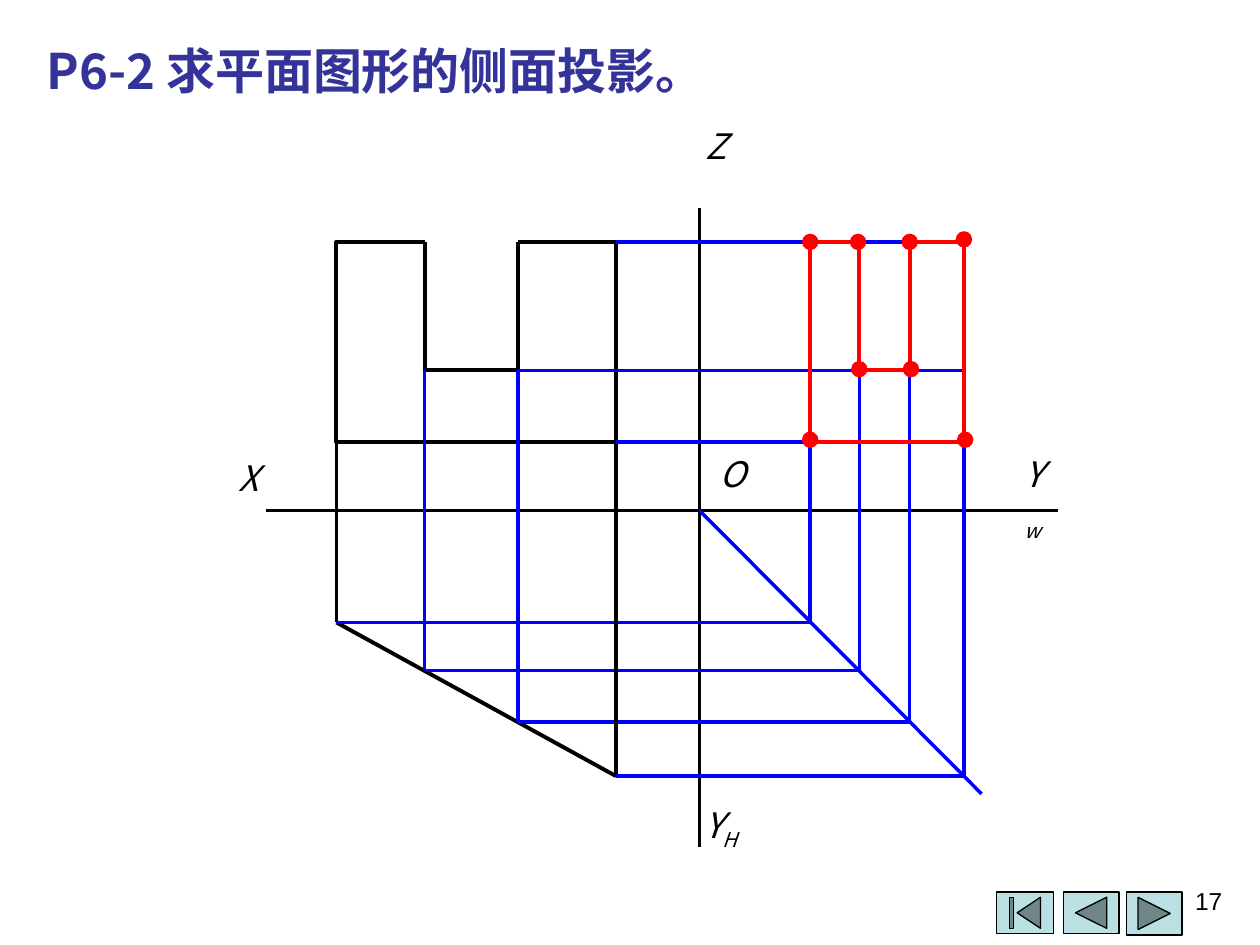
"""Build the projection exercise slide: a plane figure and its side view."""
from lxml import etree
from pptx import Presentation
from pptx.dml.color import RGBColor
from pptx.enum.shapes import MSO_CONNECTOR, MSO_SHAPE
from pptx.enum.text import MSO_ANCHOR, MSO_AUTO_SIZE, PP_ALIGN
from pptx.oxml.ns import qn
from pptx.util import Inches, Pt

STRAIGHT = MSO_CONNECTOR.STRAIGHT
DOT = MSO_SHAPE.OVAL
BUTTONS = (
    (MSO_SHAPE.ACTION_BUTTON_BEGINNING, 7.91, 0.45, 0.33),
    (MSO_SHAPE.ACTION_BUTTON_BACK_OR_PREVIOUS, 8.44, 0.44, 0.33),
    (MSO_SHAPE.ACTION_BUTTON_FORWARD_OR_NEXT, 8.94, 0.44, 0.34),
)
TOP, LEFT, RIGHT = MSO_ANCHOR.TOP, PP_ALIGN.LEFT, PP_ALIGN.RIGHT
NO_FIT = MSO_AUTO_SIZE.NONE

BLACK = RGBColor(0x00, 0x00, 0x00)
BLUE = RGBColor(0x00, 0x00, 0xFF)
RED = RGBColor(0xFF, 0x00, 0x00)
INDIGO = RGBColor(0x33, 0x33, 0x99)
TEAL = RGBColor(0xBB, 0xE0, 0xE3)

CJK = "Noto Sans CJK SC"
THIN, THICK = 0, 2.25
DOT_SIZE = 0.12
FRONT_X = (2.67, 3.37, 4.11, 4.89)
SIDE_X = (6.43, 6.82, 7.22, 7.65)
PLAN_Y = (4.94, 5.32, 5.73, 6.16)
ROOF, NOTCH, BASE = 1.92, 2.94, 3.51
ORIGIN = (5.55, 4.05)
CORNERS = (
    (6.43, 1.92), (6.81, 1.92), (7.22, 1.92), (7.65, 1.90),
    (6.82, 2.93), (7.23, 2.93), (6.43, 3.49), (7.66, 3.49),
)


def add_line(slide, start, end, color, width=THIN):
    """Draw one straight line between two points in inches."""
    points = [Inches(value) for value in (*start, *end)]
    line = slide.shapes.add_connector(STRAIGHT, *points)
    line.line.color.rgb = color
    line.line.width = Pt(width)
    etree.SubElement(line._element.spPr, qn("a:effectLst"))


def add_outline(slide, points):
    """Draw an open thick black outline through the points."""
    start, *rest = [(Inches(x), Inches(y)) for x, y in points]
    builder = slide.shapes.build_freeform(*start)
    builder.add_line_segments(rest, close=False)
    outline = builder.convert_to_shape()
    outline.shadow.inherit = False
    outline.fill.background()
    outline.line.color.rgb = BLACK
    outline.line.width = Pt(THICK)


def add_preset(slide, kind, box, fill, line, width):
    """Add a filled preset shape."""
    preset = slide.shapes.add_shape(kind, *[Inches(value) for value in box])
    preset.shadow.inherit = False
    preset.fill.solid()
    preset.fill.fore_color.rgb = fill
    preset.line.color.rgb = line
    preset.line.width = Pt(width)


def format_run(run, color, **values):
    """Apply font values, naming the East Asian face as well."""
    run.font.color.rgb = color
    for name, value in values.items():
        setattr(run.font, name, value)
    face = etree.SubElement(run._r.get_or_add_rPr(), qn("a:ea"))
    face.set("typeface", values["name"])


def set_frame(frame, inset_x, inset_y, wrap):
    """Set the margins, wrapping and anchor of a text frame."""
    values = {
        "margin_left": Inches(inset_x), "margin_right": Inches(inset_x),
        "margin_top": Inches(inset_y), "margin_bottom": Inches(inset_y),
        "word_wrap": wrap, "vertical_anchor": TOP, "auto_size": NO_FIT,
    }
    for name, value in values.items():
        setattr(frame, name, value)


def add_title(slide, text):
    """Place and format the slide title."""
    title = slide.shapes.title
    box = {"left": 0.27, "top": 0.27, "width": 9.53, "height": 0.57}
    for name, value in box.items():
        setattr(title, name, Inches(value))
    set_frame(title.text_frame, 0.1, 0.05, True)
    heading = title.text_frame.paragraphs[0]
    heading.alignment = LEFT
    run = heading.add_run()
    run.text = text
    format_run(run, INDIGO, name=CJK, size=Pt(28), bold=True)


def add_axis_label(slide, box, letter, subscript="", below=False):
    """Add an italic axis letter, with a subscript beside or below it."""
    label = slide.shapes.add_textbox(*[Inches(value) for value in box])
    set_frame(label.text_frame, 0, 0, False)
    paragraph = label.text_frame.paragraphs[0]
    for part in filter(None, (letter, subscript)):
        if below and part == subscript:
            paragraph.add_line_break()
        run = paragraph.add_run()
        run.text = part
        format_run(run, BLACK, name=CJK, size=Pt(20), italic=True)
        if part == subscript:
            run.font._element.set("baseline", "-25000")


def add_page_number(slide, number):
    """Add the page number at the lower right."""
    box = slide.shapes.add_textbox(
        Inches(7.47), Inches(6.98), Inches(2.33), Inches(0.52))
    set_frame(box.text_frame, 0.1, 0.05, True)
    paragraph = box.text_frame.paragraphs[0]
    paragraph.alignment = RIGHT
    run = paragraph.add_run()
    run.text = number
    format_run(run, BLACK, name="Arial", size=Pt(14))


def add_given_views(slide):
    """Draw the axes, the front view and the plan view."""
    x1, x2, x3, x4 = FRONT_X
    add_line(slide, (x4, PLAN_Y[3]), (x1, PLAN_Y[0]), BLACK, THICK)
    add_line(slide, (2.11, ORIGIN[1]), (8.4, ORIGIN[1]), BLACK)
    add_line(slide, (ORIGIN[0], 1.65), (ORIGIN[0], 6.72), BLACK)
    add_outline(slide, [(x2, ROOF), (x1, ROOF), (x1, BASE),
                        (x4, BASE), (x4, ROOF), (x3, ROOF)])
    add_outline(slide, [(x3, ROOF), (x3, NOTCH), (x2, NOTCH), (x2, ROOF)])


def add_projection_lines(slide):
    """Carry each point through the plan and the mitre line to the side."""
    starts = (3.29, NOTCH, NOTCH, 3.29)
    colors = (BLACK, BLUE, BLUE, BLACK)
    add_line(slide, ORIGIN, (7.79, 6.3), BLUE)
    for front, side, plan, start, color in zip(
            FRONT_X, SIDE_X, PLAN_Y, starts, colors):
        add_line(slide, (front, start), (front, plan), color)
        add_line(slide, (front, plan), (side, plan), BLUE)
        add_line(slide, (side, plan), (side, ROOF), BLUE)
    for x, y in ((FRONT_X[3], ROOF), (FRONT_X[2], NOTCH), (FRONT_X[3], BASE)):
        add_line(slide, (x, y), (SIDE_X[3], y), BLUE)


def add_side_view(slide):
    """Draw the solved side view with its corner points."""
    x1, x2, x3, x4 = SIDE_X
    loop = [(x1, BASE), (x4, BASE), (x4, ROOF), (x3, ROOF),
            (x3, NOTCH), (x2, NOTCH), (x2, ROOF), (x1, ROOF)]
    for start, end in zip(loop, loop[1:] + loop[:1]):
        add_line(slide, start, end, RED, THICK)
    for x, y in CORNERS:
        box = (x - DOT_SIZE / 2, y - DOT_SIZE / 2, DOT_SIZE, DOT_SIZE)
        add_preset(slide, DOT, box, RED, RED, THIN)


def main():
    """Build and save the slide."""
    deck = Presentation()
    deck.slide_width, deck.slide_height = Inches(10), Inches(7.5)
    slide = deck.slides.add_slide(deck.slide_layouts[5])
    for kind, left, width, height in BUTTONS:
        add_preset(slide, kind, (left, 7.08, width, height), TEAL, BLACK, 0.75)
    add_title(slide, "P6-2 求平面图形的侧面投影。")
    add_given_views(slide)
    add_projection_lines(slide)
    add_side_view(slide)
    add_axis_label(slide, (1.89, 3.62, 0.17, 0.33), "X")
    add_axis_label(slide, (5.6, 0.99, 0.17, 0.33), "Z")
    add_axis_label(slide, (5.59, 6.38, 0.27, 0.38), "Y", "H")
    add_axis_label(slide, (8.13, 3.59, 0.27, 0.38), "Y", "w", below=True)
    add_axis_label(slide, (5.71, 3.59, 0.31, 0.33), "O")
    add_page_number(slide, "17")
    deck.save("out.pptx")


if __name__ == "__main__":
    main()
